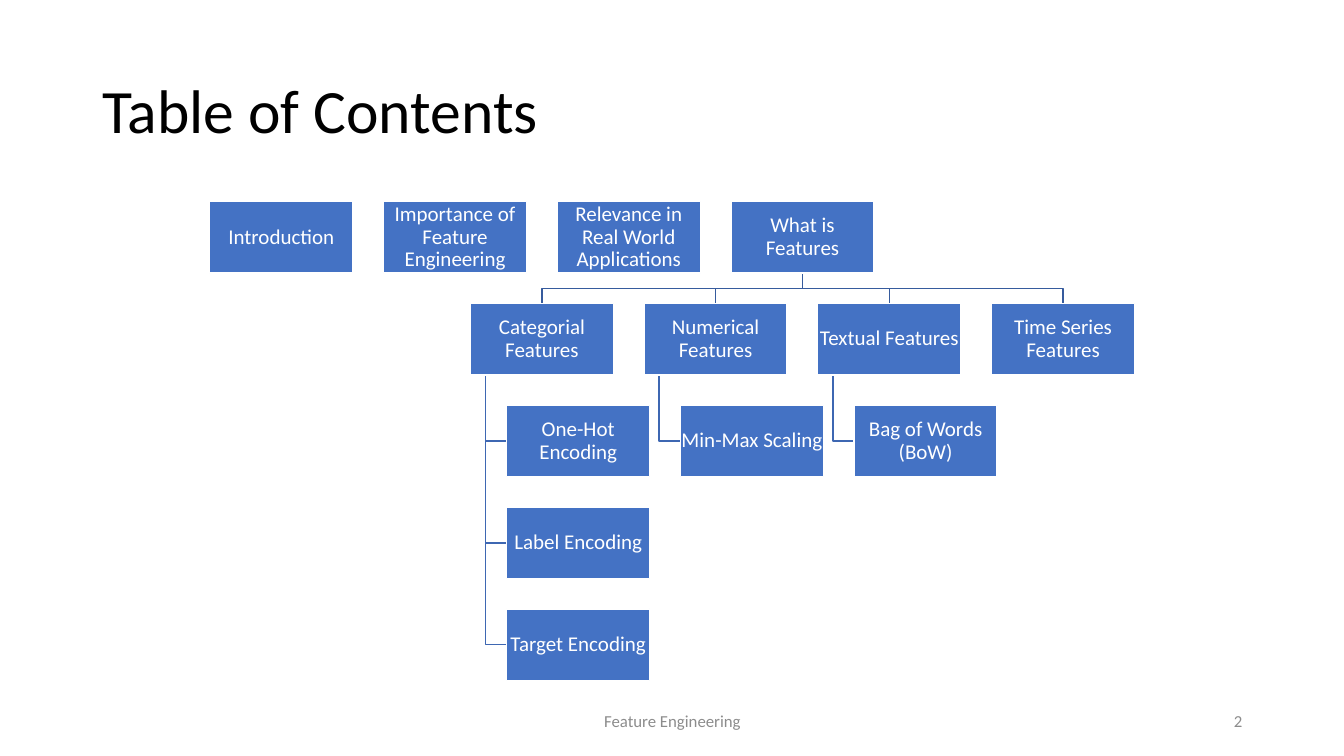
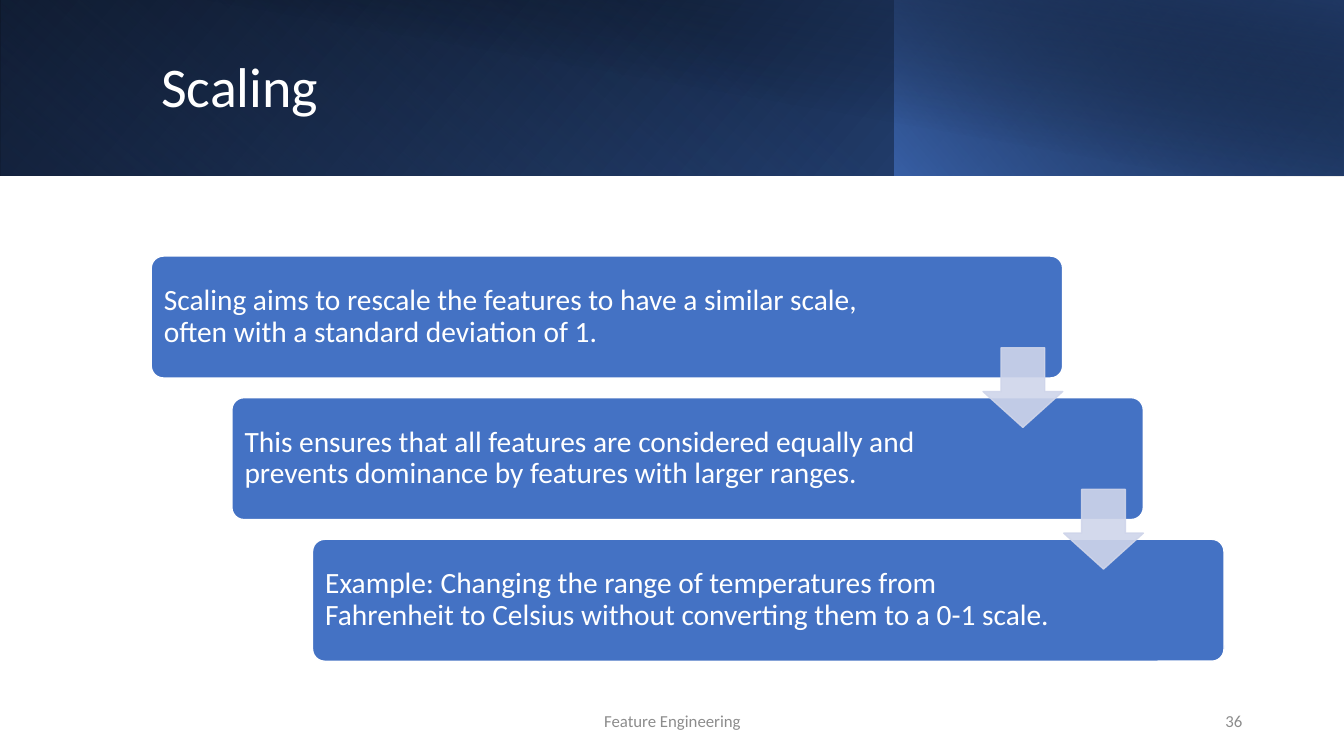
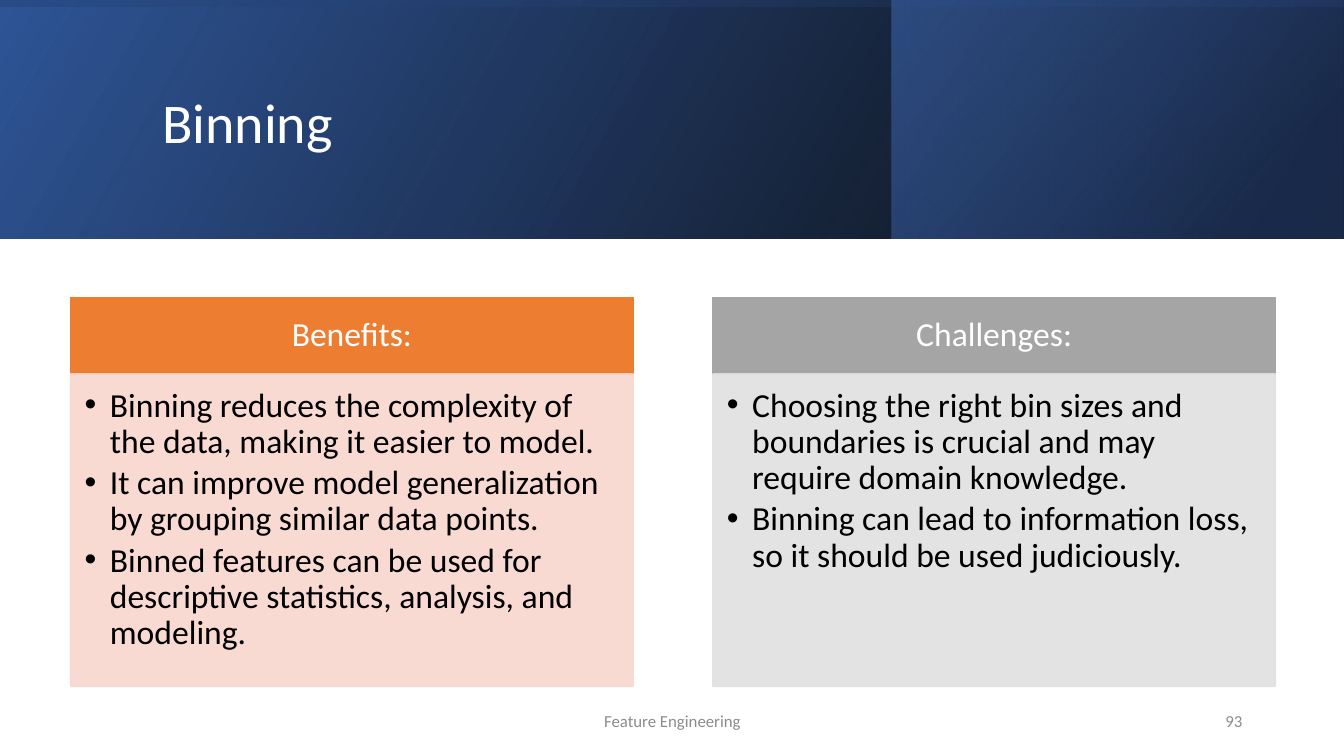
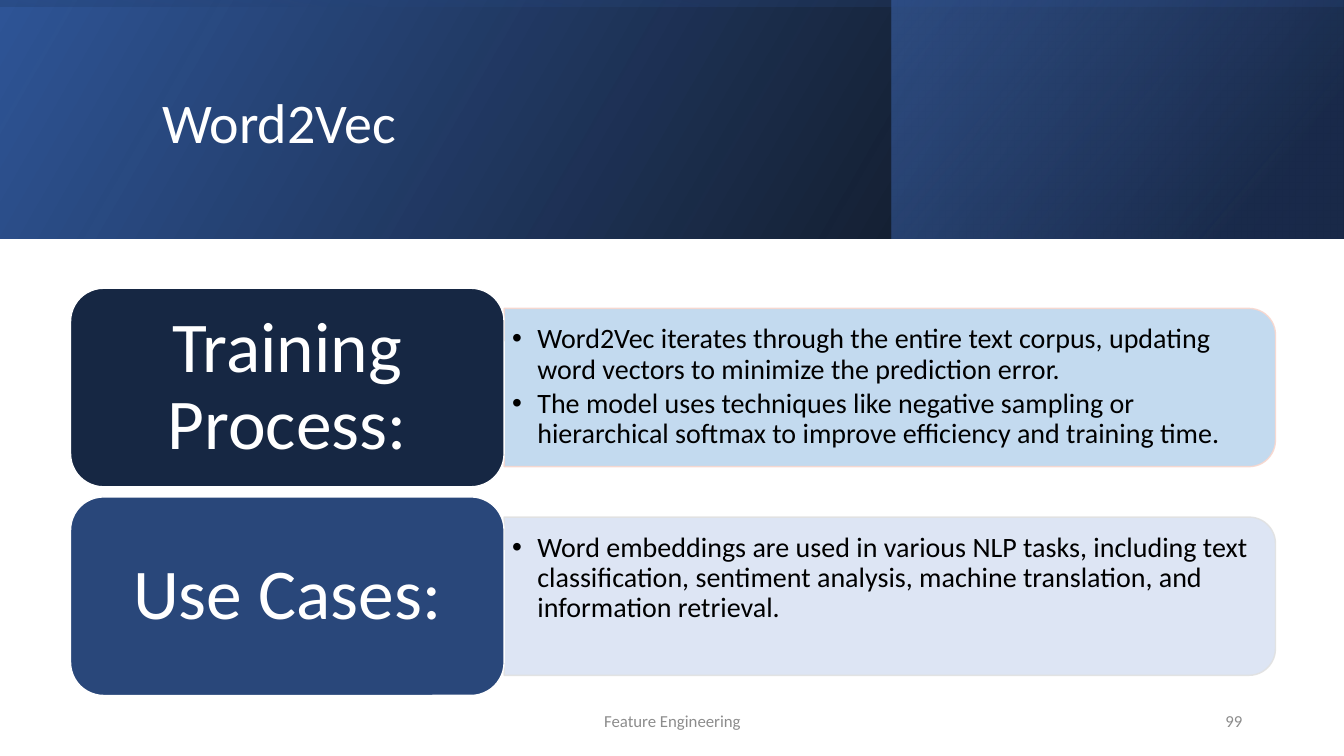
from lxml import etree
from pptx import Presentation, util as u
from pptx.dml import color as dml
from pptx.enum import shapes, text
from pptx.oxml import ns

FONT = "Calibri"
BLACK, WHITE, GREY = "000000", "FFFFFF", "8C8C8C"
BLUE, DEEP_BLUE, NAVY = "4472C4", "2F5597", "203864"
FOOTER = "Feature Engineering"
LEFT, CENTER, RIGHT = text.PP_ALIGN.LEFT, text.PP_ALIGN.CENTER, text.PP_ALIGN.RIGHT
TOP, MIDDLE = text.MSO_ANCHOR.TOP, text.MSO_ANCHOR.MIDDLE
RECT = shapes.MSO_SHAPE.RECTANGLE
ROUNDED = shapes.MSO_SHAPE.ROUNDED_RECTANGLE

# Each band: box, rotation, angle, then stops as (position, colour, opacity).
LOW_BANDS = [
    ((0, 0, 13.33, 1.74), 0, 140, [(0, BLACK, 100), (100, DEEP_BLUE, 100)]),
    ((0, 0, 8.88, 1.74), 180, 230, [(20, BLUE, 0), (100, NAVY, 55)]),
    ((8.87, 0, 4.46, 1.74), 0, 220, [(0, BLUE, 66), (100, BLACK, 30)]),
    ((0.5, 0, 12.83, 1.75), None, 280, [(50, BLACK, 0), (99, NAVY, 52)]),
]
TALL_BANDS = [
    ((0, 0, 13.33, 2.37), 0, 330, [(0, BLACK, 96), (100, DEEP_BLUE, 100)]),
    ((8.84, 0, 4.48, 2.37), 0, 320, [(19, NAVY, 68), (100, BLUE, 48)]),
    ((5.48, -5.48, 2.37, 13.33), 270, 350, [(23, DEEP_BLUE, 16), (99, BLACK, 45)]),
]


def rgb(value):
    return dml.RGBColor.from_string(value)


def inches(values):
    return [u.Inches(value) for value in values]


def set_opacity(color_element, percent):
    if percent < 100:
        alpha = etree.SubElement(color_element, ns.qn("a:alpha"))
        alpha.set("val", str(percent * 1000))


def add_bullet(paragraph):
    properties = paragraph._p.get_or_add_pPr()
    properties.set("marL", str(u.Inches(0.25)))
    properties.set("indent", str(u.Inches(-0.25)))
    etree.SubElement(properties, ns.qn("a:buFont")).set("typeface", "Arial")
    etree.SubElement(properties, ns.qn("a:buChar")).set("char", "•")


def write(shape, lines, size, color, align=LEFT, anchor=MIDDLE,
          insets=(0.1, 0.05, 0.1, 0.05), spacing=0.9, bullets=False):
    """Fill a shape with one paragraph per line; insets run left, top, right, bottom."""
    frame = shape.text_frame
    frame.word_wrap = True
    frame.vertical_anchor = anchor
    (frame.margin_left, frame.margin_top,
     frame.margin_right, frame.margin_bottom) = inches(insets)
    for index, line in enumerate(lines):
        paragraph = frame.add_paragraph() if index else frame.paragraphs[0]
        if bullets:
            add_bullet(paragraph)
            paragraph.space_after = u.Pt(0.15 * size)
        paragraph.alignment = align
        paragraph.line_spacing = spacing
        run = paragraph.add_run()
        run.text = line
        run.font.name = FONT
        run.font.size = u.Pt(size)
        run.font.color.rgb = rgb(color)


def add_text(slide, box, lines, size, color, **options):
    write(slide.shapes.add_textbox(*inches(box)), lines, size, color, **options)


def add_box(slide, kind, box, fill, line, opacity=100, adjustments=()):
    shape = slide.shapes.add_shape(kind, *inches(box))
    shape.shadow.inherit = False
    for index, value in enumerate(adjustments):
        shape.adjustments[index] = value
    shape.fill.solid()
    shape.fill.fore_color.rgb = rgb(fill)
    shape.line.color.rgb = rgb(line)
    shape.line.width = u.Pt(1)
    for element in shape._element.spPr.iter(ns.qn("a:srgbClr")):
        set_opacity(element, opacity)
    return shape


def add_band(slide, box, rotation, angle, stops):
    """Add a gradient rectangle, mirrored unless rotation is None."""
    shape = slide.shapes.add_shape(RECT, *inches(box))
    shape.shadow.inherit = False
    shape.line.fill.background()
    if rotation is not None:
        shape.rotation = rotation
        shape._element.spPr.get_or_add_xfrm().set("flipH", "1")
    shape.fill.gradient()
    shape.fill.gradient_angle = 360 - angle
    for stop, (position, color, _) in zip(shape.fill.gradient_stops, stops):
        stop.position = position / 100
        stop.color.rgb = rgb(color)
    elements = shape._element.spPr.iter(ns.qn("a:srgbClr"))
    for element, (_, _, opacity) in zip(elements, stops):
        set_opacity(element, opacity)


def add_slide(presentation, title, title_box, number, bands=()):
    """Add a blank slide with its bands, title, footer and page number."""
    slide = presentation.slides.add_slide(presentation.slide_layouts[6])
    for band in bands:
        add_band(slide, *band)
    size, color = (40, WHITE) if bands else (44, BLACK)
    add_text(slide, title_box, [title], size, color)
    add_text(slide, (4.42, 6.95, 4.5, 0.4), [FOOTER], 12, GREY, align=CENTER, spacing=1)
    add_text(slide, (9.42, 6.95, 3, 0.4), [str(number)], 12, GREY, align=RIGHT, spacing=1)
    return slide


def add_elbow(slide, points, color):
    points = [inches(point) for point in points]
    builder = slide.shapes.build_freeform(*points[0])
    builder.add_line_segments(points[1:], close=False)
    shape = builder.convert_to_shape()
    shape.shadow.inherit = False
    shape.fill.background()
    shape.line.color.rgb = rgb(color)
    shape.line.width = u.Pt(1)


def add_contents_tree(slide, left, top):
    topics = ["Introduction", "Importance of Feature Engineering",
              "Relevance in Real World Applications", "What is Features"]
    branches = {
        "Categorial Features": ["One-Hot Encoding", "Label Encoding", "Target Encoding"],
        "Numerical Features": ["Min-Max Scaling"],
        "Textual Features": ["Bag of Words (BoW)"],
        "Time Series Features": [],
    }
    width, height, column, row = 1.42, 0.71, 1.723, 1.01
    stem, indent = 0.15, 0.36
    nodes = [(left + index * column, top, name) for index, name in enumerate(topics)]
    root_x, root_bottom = nodes[-1][0] + width / 2, top + height
    branch_left, branch_top = left + 1.5 * column, top + row
    for index, (branch, leaves) in enumerate(branches.items()):
        x = branch_left + index * column
        nodes.append((x, branch_top, branch))
        middle, turn = x + width / 2, root_bottom + stem
        add_elbow(slide, [(root_x, root_bottom), (root_x, turn),
                          (middle, turn), (middle, branch_top)], "365B9D")
        for level, leaf in enumerate(leaves, 1):
            y = branch_top + level * row
            nodes.append((x + indent, y, leaf))
            trunk, center = x + stem, y + height / 2
            add_elbow(slide, [(trunk, branch_top + height), (trunk, center),
                              (x + indent, center)], "3E67B2")
    for x, y, name in nodes:
        node = add_box(slide, RECT, (x, y, width, height), BLUE, WHITE)
        write(node, [name], 15, WHITE, align=CENTER, insets=[0.01] * 4)


def add_staircase(slide, left, top, steps):
    """Add steps, given as (text, right inset), joined by arrows."""
    width, height, shift, drop, arrow = 9.04, 1.21, 0.8, 1.405, 0.79
    corners = [(left + index * shift, top + index * drop) for index in range(len(steps))]
    for (x, y), (line, right_inset) in zip(corners, steps):
        step = add_box(slide, ROUNDED, (x, y, width, height), BLUE, WHITE, adjustments=[0.1])
        write(step, [line], 21, WHITE, insets=(0.09, 0.09, right_inset, 0.09))
    for x, y in corners[:-1]:
        add_box(slide, shapes.MSO_SHAPE.DOWN_ARROW,
                (x + width - arrow, y + 0.91, arrow, arrow),
                "CFD5EA", "CFD5EA", 90, [0.55, 0.45])


def add_list_card(slide, box, heading, points, dark, pale):
    left, top, width, height = box
    head_height = 0.76
    head = add_box(slide, RECT, (left, top, width, head_height), dark, dark)
    write(head, [heading], 24, WHITE, align=CENTER, insets=(0.19, 0.11, 0.19, 0.11))
    body = add_box(slide, RECT, (left, top + head_height, width, height - head_height),
                   pale, pale, 90)
    write(body, points, 24, BLACK, anchor=TOP, insets=(0.14, 0.14, 0.19, 0.21), bullets=True)


def add_label_row(slide, box, label, points, dark, pale, edge):
    left, top, width, height = box
    label_width, bar_height = 4.3, 1.57
    bar_left, bar_width = left + label_width, width - label_width
    bar_top = top + (height - bar_height) / 2
    turned = (bar_width - bar_height) / 2
    bar = add_box(slide, shapes.MSO_SHAPE.ROUND_2_SAME_RECTANGLE,
                  (bar_left + turned, bar_top - turned, bar_height, bar_width),
                  pale, edge, 90)
    bar.rotation = 90
    add_text(slide, (bar_left, bar_top + 0.07, bar_width - 0.08, bar_height - 0.15),
             points, 20, BLACK, anchor=TOP, insets=(0.08, 0.09, 0.08, 0.04), bullets=True)
    tile = add_box(slide, ROUNDED, (left, top, label_width, height), dark, WHITE)
    write(tile, [label], 51, WHITE, align=CENTER, insets=(0.21, 0.11, 0.21, 0.11))


def main():
    presentation = Presentation()
    presentation.slide_width, presentation.slide_height = inches((13.33, 7.5))
    tall_title = (1.51, 0.38, 10.63, 1.72)

    contents = add_slide(presentation, "Table of Contents", (0.92, 0.4, 11.5, 1.45), 2)
    add_contents_tree(contents, 2.08, 2)

    scaling = add_slide(presentation, "Scaling", (1.5, 0.32, 10.82, 1.13), 36, LOW_BANDS)
    add_staircase(scaling, 1.5, 2.54, [
        ("Scaling aims to rescale the features to have a similar scale, "
         "often with a standard deviation of 1.", 1.32),
        ("This ensures that all features are considered equally and "
         "prevents dominance by features with larger ranges.", 1.67),
        ("Example: Changing the range of temperatures from Fahrenheit to "
         "Celsius without converting them to a 0-1 scale.", 1.67),
    ])

    binning = add_slide(presentation, "Binning", tall_title, 93, TALL_BANDS)
    add_list_card(binning, (0.7, 2.95, 5.58, 3.86), "Benefits:", [
        "Binning reduces the complexity of the data, making it easier to model.",
        "It can improve model generalization by grouping similar data points.",
        "Binned features can be used for descriptive statistics, analysis, and modeling.",
    ], "ED7D31", "F8D7CE")
    add_list_card(binning, (7.07, 2.95, 5.58, 3.86), "Challenges:", [
        "Choosing the right bin sizes and boundaries is crucial and may "
        "require domain knowledge.",
        "Binning can lead to information loss, so it should be used judiciously.",
    ], "A5A5A5", "E1E1E1")

    word_vectors = add_slide(presentation, "Word2Vec", tall_title, 99, TALL_BANDS)
    add_label_row(word_vectors, (0.7, 2.86, 11.95, 1.97), "Training Process:", [
        "Word2Vec iterates through the entire text corpus, updating word "
        "vectors to minimize the prediction error.",
        "The model uses techniques like negative sampling or hierarchical "
        "softmax to improve efficiency and training time.",
    ], "162743", "BDD7EE", "F8D7CE")
    add_label_row(word_vectors, (0.7, 4.93, 11.95, 1.97), "Use Cases:", [
        "Word embeddings are used in various NLP tasks, including text "
        "classification, sentiment analysis, machine translation, and "
        "information retrieval.",
    ], "29477A", "DAE3F3", "E1E1E1")

    presentation.save("out.pptx")


if __name__ == "__main__":
    main()
